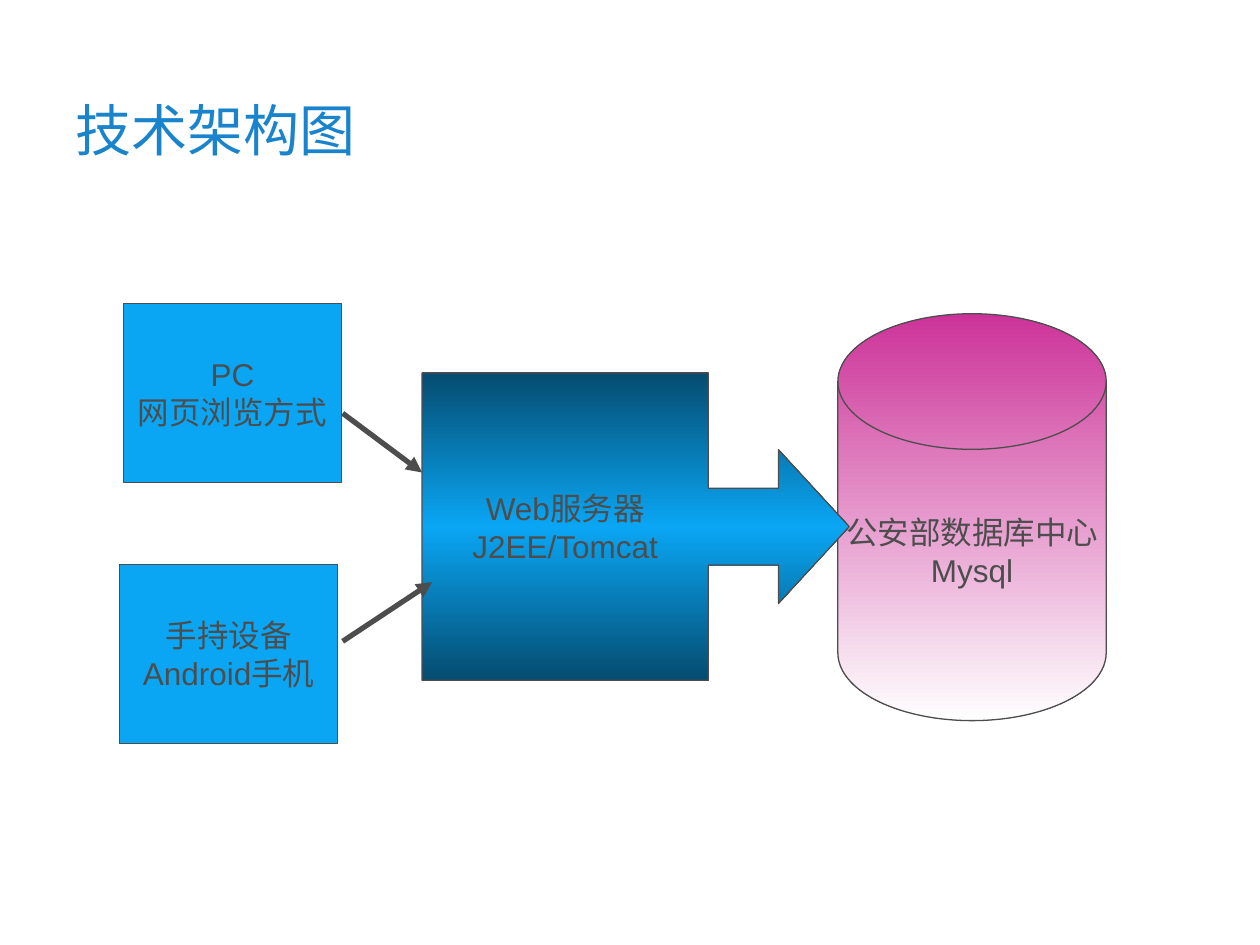
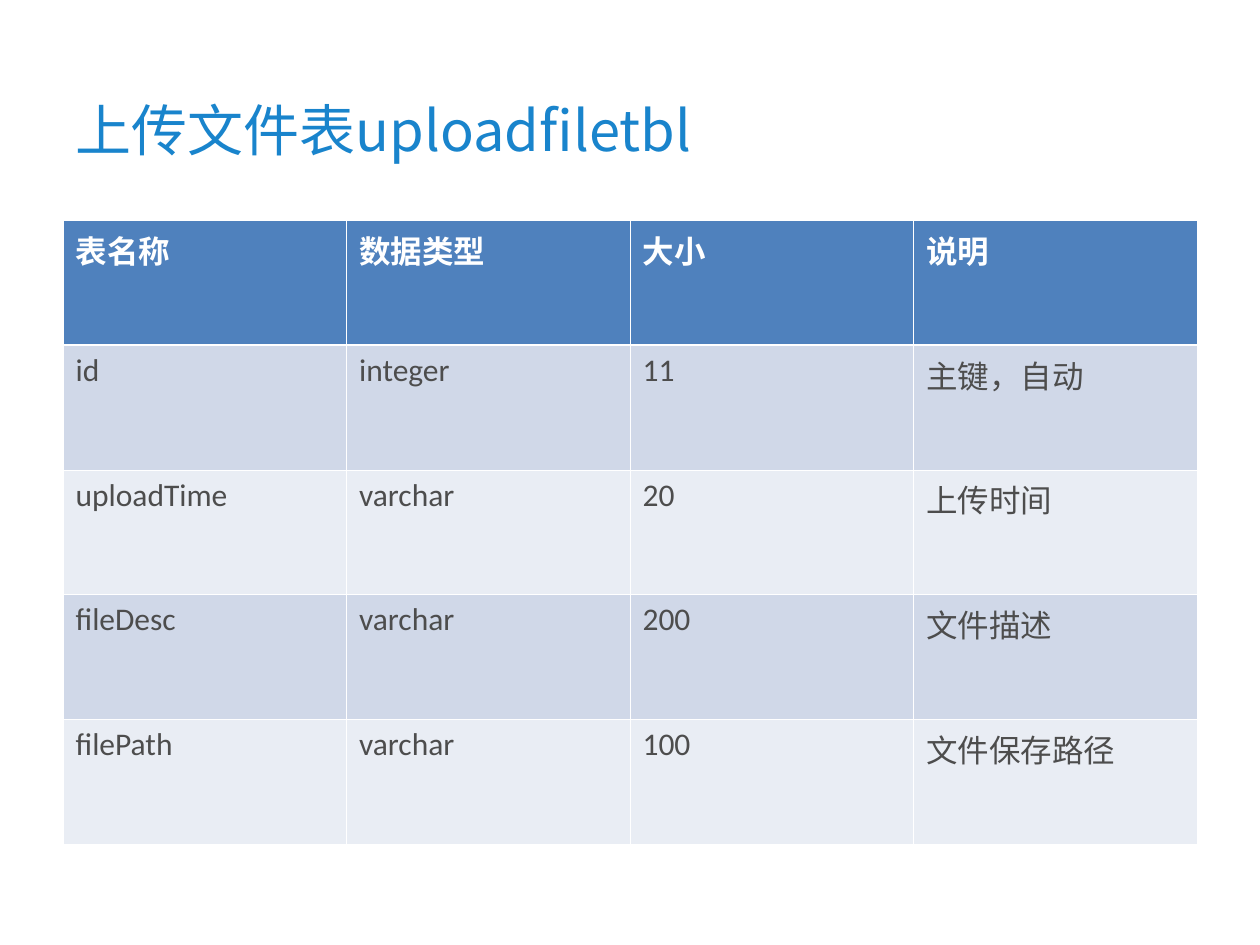
from dataclasses import dataclass

from lxml.etree import SubElement
from pptx import Presentation
from pptx.dml.color import RGBColor
from pptx.enum.shapes import MSO_CONNECTOR, MSO_SHAPE
from pptx.enum.text import MSO_ANCHOR, PP_ALIGN
from pptx.oxml.ns import qn
from pptx.util import Inches, Pt

SLIDE_WIDTH, SLIDE_HEIGHT = Inches(10), Inches(7.5)
COLUMNS, ROWS = 100, 75
BLANK_LAYOUT = 6


@dataclass(frozen=True)
class Theme:
    title: str = "1984CC"
    ink: str = "4D4D4D"
    white: str = "FFFFFF"
    client: str = "0AA6F4"
    server_edge: str = "054C70"
    database: str = "CC3399"
    header: str = "4F81BD"
    odd_row: str = "D0D8E8"
    even_row: str = "E9EDF4"
    title_font: str = "Noto Sans CJK SC"
    diagram_font: str = "Arial"
    table_font: str = "Calibri"
    asian_font: str = "Noto Sans CJK SC"
    title_size: float = 32
    body_size: float = 18
    outline: float = 0.75
    arrow: float = 3
    border: float = 0.45
    header_border: float = 1.47


THEME = Theme()


@dataclass(frozen=True)
class Box:
    left: float
    top: float
    width: float
    height: float

    def inside(self, left, top, width, height):
        return Box(self.left + left, self.top + top, width, height)

    def emu(self):
        return (across(self.left), down(self.top),
                across(self.width), down(self.height))


TITLE_BOX = Box(5, 5, 90, 10.5)
DIAGRAM_BOX = Box(9.5, 24.1, 78.3, 34.9)
TABLE_BOX = Box(5, 17.5, 90, 49.5)


def across(columns):
    return round(SLIDE_WIDTH * columns / COLUMNS)


def down(rows):
    return round(SLIDE_HEIGHT * rows / ROWS)


def color(code):
    return RGBColor.from_string(code)


def add_span(para, text, font, size, ink, bold=False):
    span = para.add_run()
    span.text = text
    span.font.name = font
    span.font.size = Pt(size)
    span.font.bold = bold
    span.font.color.rgb = color(ink)
    asian = SubElement(span.font._element, qn("a:ea"))
    asian.set("typeface", THEME.asian_font)


def add_title(page, box, text):
    frame = page.shapes.add_textbox(*box.emu()).text_frame
    frame.word_wrap = True
    frame.vertical_anchor = MSO_ANCHOR.MIDDLE
    add_span(frame.paragraphs[0], text, THEME.title_font, THEME.title_size, THEME.title)


def paint(shape, colors):
    if len(colors) == 1:
        shape.fill.solid()
        shape.fill.fore_color.rgb = color(colors[0])
        return
    shape.fill.gradient()
    shape.fill.gradient_angle = 270
    stops = shape._element.spPr.find(qn("a:gradFill")).find(qn("a:gsLst"))
    for stop in list(stops):
        stops.remove(stop)
    for index, code in enumerate(colors):
        stop = SubElement(stops, qn("a:gs"))
        stop.set("pos", str(index * 100000 // (len(colors) - 1)))
        SubElement(stop, qn("a:srgbClr")).set("val", code)


def add_node(page, box, kind, colors, lines):
    shape = page.shapes.add_shape(kind, *box.emu())
    shape.shadow.inherit = False
    paint(shape, colors)
    shape.line.color.rgb = color(THEME.ink)
    shape.line.width = Pt(THEME.outline)
    frame = shape.text_frame
    frame.word_wrap = False
    frame.vertical_anchor = MSO_ANCHOR.MIDDLE
    for index, text in enumerate(lines):
        para = frame.add_paragraph() if index else frame.paragraphs[0]
        para.alignment = PP_ALIGN.CENTER
        add_span(para, text, THEME.diagram_font, THEME.body_size, THEME.ink)
    return shape


def add_arrow(page, box, start, end):
    (start_left, start_top), (end_left, end_top) = start, end
    arrow = page.shapes.add_connector(
        MSO_CONNECTOR.STRAIGHT,
        across(box.left + start_left), down(box.top + start_top),
        across(box.left + end_left), down(box.top + end_top))
    arrow.line.color.rgb = color(THEME.ink)
    arrow.line.width = Pt(THEME.arrow)
    SubElement(arrow.line._get_or_add_ln(), qn("a:tailEnd")).set("type", "triangle")
    SubElement(arrow._element.spPr, qn("a:effectLst"))


def add_architecture(page, box):
    clients = [(0.3, 0, ["PC", "网页浏览方式"]),
               (0, 20.7, ["手持设备", "Android手机"])]
    for left, top, lines in clients:
        add_node(page, box.inside(left, top, 17.3, 14.2),
                 MSO_SHAPE.RECTANGLE, [THEME.client], lines)
    add_node(page, box.inside(57, 0.8, 21.3, 32.3), MSO_SHAPE.FLOWCHART_MAGNETIC_DISK,
             [THEME.database, THEME.white], ["公安部数据库中心", "Mysql"])
    server = add_node(page, box.inside(24, 5.5, 33.9, 24.4), MSO_SHAPE.RIGHT_ARROW_CALLOUT,
                      [THEME.server_edge, THEME.client, THEME.server_edge],
                      ["Web服务器", "J2EE/Tomcat"])
    for index, share in enumerate((0.25, 0.25, 0.23, 0.67)):
        server.adjustments[index] = share
    add_arrow(page, box, (17.7, 8.7), (24, 13.4))
    add_arrow(page, box, (17.7, 26.8), (24.8, 22.1))


def add_borders(cell, top, bottom):
    properties = cell._tc.get_or_add_tcPr()
    widths = {"L": THEME.border, "R": THEME.border, "T": top, "B": bottom}
    for side, width in widths.items():
        line = SubElement(properties, qn(f"a:ln{side}"))
        line.set("w", str(Pt(width)))
        fill = SubElement(line, qn("a:solidFill"))
        SubElement(fill, qn("a:srgbClr")).set("val", THEME.white)


def add_field_table(page, box, rows):
    table = page.shapes.add_table(len(rows), len(rows[0]), *box.emu()).table
    table.first_row = table.horz_banding = False
    for row_index, row in enumerate(rows):
        is_header = row_index == 0
        band = THEME.odd_row if row_index % 2 else THEME.even_row
        top = THEME.header_border if row_index == 1 else THEME.border
        bottom = THEME.header_border if is_header else THEME.border
        for column_index, text in enumerate(row):
            cell = table.cell(row_index, column_index)
            add_borders(cell, top, bottom)
            cell.fill.solid()
            cell.fill.fore_color.rgb = color(THEME.header if is_header else band)
            add_span(cell.text_frame.paragraphs[0], text, THEME.table_font, THEME.body_size,
                     THEME.white if is_header else THEME.ink, is_header)


def add_page(deck, title):
    page = deck.slides.add_slide(deck.slide_layouts[BLANK_LAYOUT])
    add_title(page, TITLE_BOX, title)
    return page


def main():
    deck = Presentation()
    deck.slide_width, deck.slide_height = SLIDE_WIDTH, SLIDE_HEIGHT
    add_architecture(add_page(deck, "技术架构图"), DIAGRAM_BOX)
    add_field_table(add_page(deck, "上传文件表uploadfiletbl"), TABLE_BOX, [
        ("表名称", "数据类型", "大小", "说明"),
        ("id", "integer", "11", "主键，自动"),
        ("uploadTime", "varchar", "20", "上传时间"),
        ("fileDesc", "varchar", "200", "文件描述"),
        ("filePath", "varchar", "100", "文件保存路径"),
    ])
    deck.save("out.pptx")


if __name__ == "__main__":
    main()
